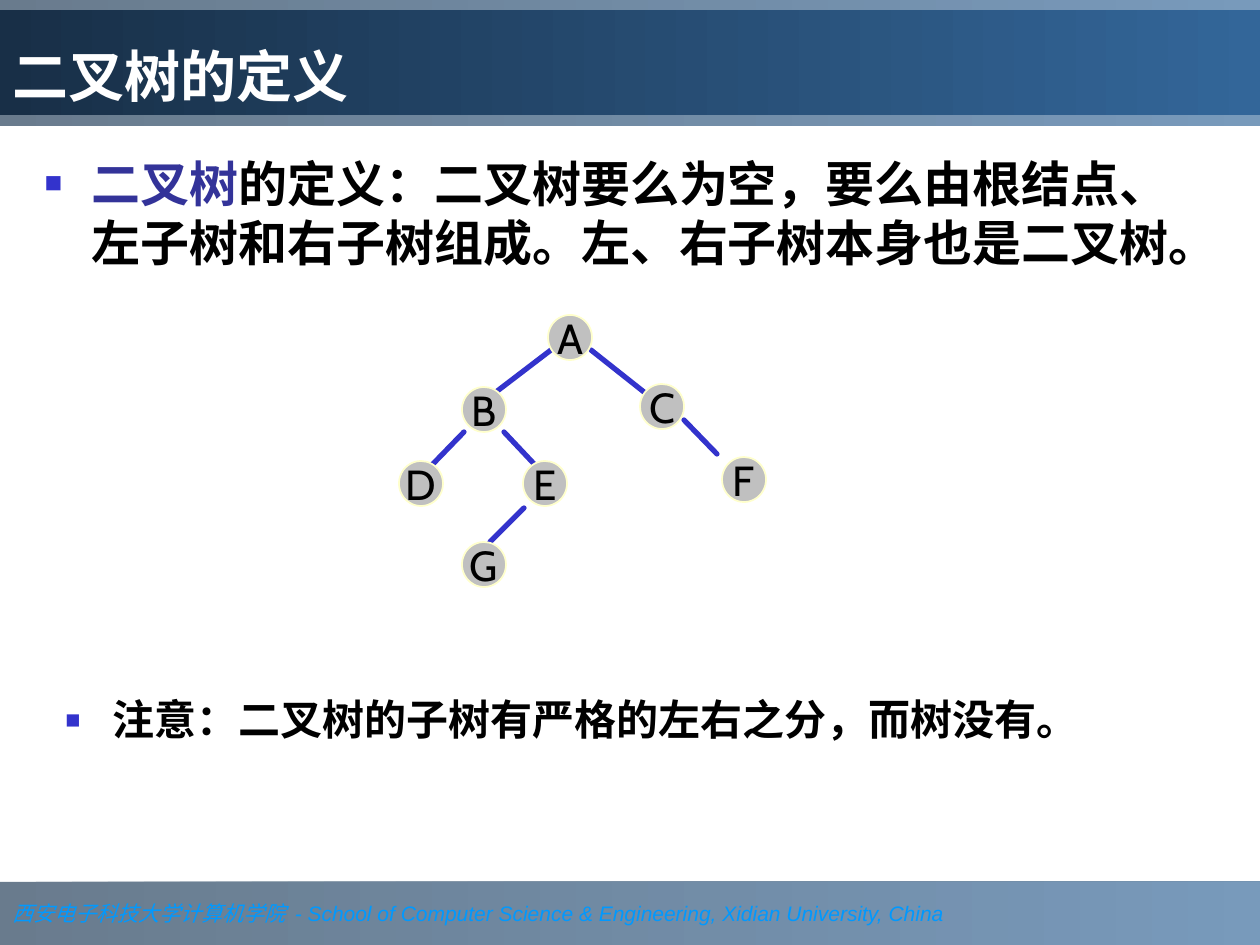
from lxml import etree
from pptx import Presentation
from pptx import util as u
from pptx.dml.color import RGBColor
from pptx.enum import shapes, text
from pptx.oxml.ns import qn

SCALE = 914400 / 126  # EMU in one px
BLUE = "3333CC"
NODE_W, NODE_H = 44, 45
NODES = {"A": (548, 315), "C": (640, 384), "B": (462, 387), "F": (722, 457),
         "E": (523, 461), "D": (399, 461), "G": (462, 542)}
EDGES = [(551, 350, 496, 392), (591, 350, 644, 392), (504, 432, 537, 467),
         (524, 508, 490, 542), (464, 432, 430, 467), (684, 420, 717, 454)]


def px(n):
    return u.Emu(round(n * SCALE))


def rgb(code):
    return RGBColor.from_string(code)


def sub(parent, tag, **attrs):
    return etree.SubElement(parent, qn(tag), attrs)


def place(shape, x, y, w, h):
    shape.left, shape.top, shape.width, shape.height = map(px, (x, y, w, h))


def blend(shape, start, end, alpha=None):
    """Fill a shape from left to right."""
    shape.fill.gradient()
    shape.fill.gradient_angle = 0
    for stop, code in zip(shape.fill.gradient_stops, (start, end)):
        stop.color.rgb = rgb(code)
    if alpha:
        for color in shape.fill._xPr.iter(qn("a:srgbClr")):
            sub(color, "a:alpha", val=str(alpha * 1000))


def add_run(para, words, size, color, font="Cabin", bold=False, italic=False):
    run = para.add_run()
    run.text = words
    run.font.size = u.Pt(size)
    run.font.name = font
    run.font.bold, run.font.italic = bold, italic
    run.font.color.rgb = rgb(color)


def set_frame(shape, anchor, wrap=True):
    frame = shape.text_frame
    frame.auto_size = text.MSO_AUTO_SIZE.NONE
    frame.word_wrap = wrap
    frame.vertical_anchor = anchor
    para = frame.paragraphs[0]
    para.alignment = text.PP_ALIGN.LEFT
    para.space_before = u.Pt(0)
    return para


def add_bullet(para):
    props = para._p.get_or_add_pPr()
    props.set("marL", "342900")
    props.set("indent", "-342900")
    sub(sub(props, "a:buClr"), "a:srgbClr", val=BLUE)
    sub(props, "a:buSzPct", val="60000")
    sub(props, "a:buFont", typeface="Arial")
    sub(props, "a:buChar", char="■")


def add_band(slide, y, h):
    band = slide.shapes.add_shape(shapes.MSO_SHAPE.RECTANGLE, 0, px(y), px(1260), px(h))
    band.shadow.inherit = False
    band.line.fill.background()
    blend(band, "1C3853", "336699", 66)
    # Bands lie behind the placeholders
    slide.shapes._spTree.insert(2, band._element)
    return band


def add_edge(slide, *ends):
    edge = slide.shapes.add_connector(shapes.MSO_CONNECTOR.STRAIGHT, *map(px, ends))
    edge.line.color.rgb = rgb(BLUE)
    edge.line.width = u.Pt(3)
    edge.line._get_or_add_ln().set("cap", "rnd")
    sub(edge._element.spPr, "a:effectLst")


def add_node(slide, name, x, y):
    node = slide.shapes.add_shape(shapes.MSO_SHAPE.OVAL, px(x), px(y), px(NODE_W), px(NODE_H))
    node.shadow.inherit = False
    node.fill.solid()
    node.fill.fore_color.rgb = rgb("C0C0C0")
    node.line.color.rgb = rgb("FFFFCC")
    node.line.width = u.Pt(1)
    para = set_frame(node, text.MSO_ANCHOR.MIDDLE, wrap=False)
    para.alignment = text.PP_ALIGN.CENTER
    add_run(para, name, 24, "000000")


def main():
    deck = Presentation()
    deck.slide_width, deck.slide_height = px(1260), px(945)
    slide = deck.slides.add_slide(deck.slide_layouts[1])

    # Header and footer bands
    add_band(slide, 0, 126)
    foot = add_band(slide, 882, 63)
    para = set_frame(foot, text.MSO_ANCHOR.MIDDLE, wrap=False)
    add_run(para, "西安电子科技大学计算机学院  ", 12, "0099FF", "Times New Roman", italic=True)
    add_run(para, "- School of Computer Science & Engineering, Xidian University, China",
            12, "0099FF", "Arial", italic=True)

    # Title
    title = slide.shapes.title
    place(title, 0, 10, 1260, 105)
    blend(title, "182F47", "336699")
    add_run(set_frame(title, text.MSO_ANCHOR.BOTTOM), "二叉树的定义", 32, "FFFFFF", bold=True)

    # Definition
    body = slide.placeholders[1]
    place(body, 32, 147, 1187, 185)
    para = set_frame(body, text.MSO_ANCHOR.TOP)
    add_bullet(para)
    add_run(para, "二叉树", 28, "333399", bold=True)
    add_run(para, "的定义：二叉树要么为空，要么由根结点、左子树和右子树组成。左、右子树本身也是二叉树。",
            28, "000000", bold=True)

    # Remark
    note = slide.shapes.add_textbox(px(53), px(693), px(1113), px(95))
    para = set_frame(note, text.MSO_ANCHOR.TOP)
    para.line_spacing = 0.9
    add_bullet(para)
    add_run(para, "注意：二叉树的子树有严格的左右之分，而树没有。", 24, "000000", bold=True)

    # Binary tree
    for ends in EDGES:
        add_edge(slide, *ends)
    for name, (x, y) in NODES.items():
        add_node(slide, name, x, y)

    deck.save("out.pptx")


if __name__ == "__main__":
    main()
